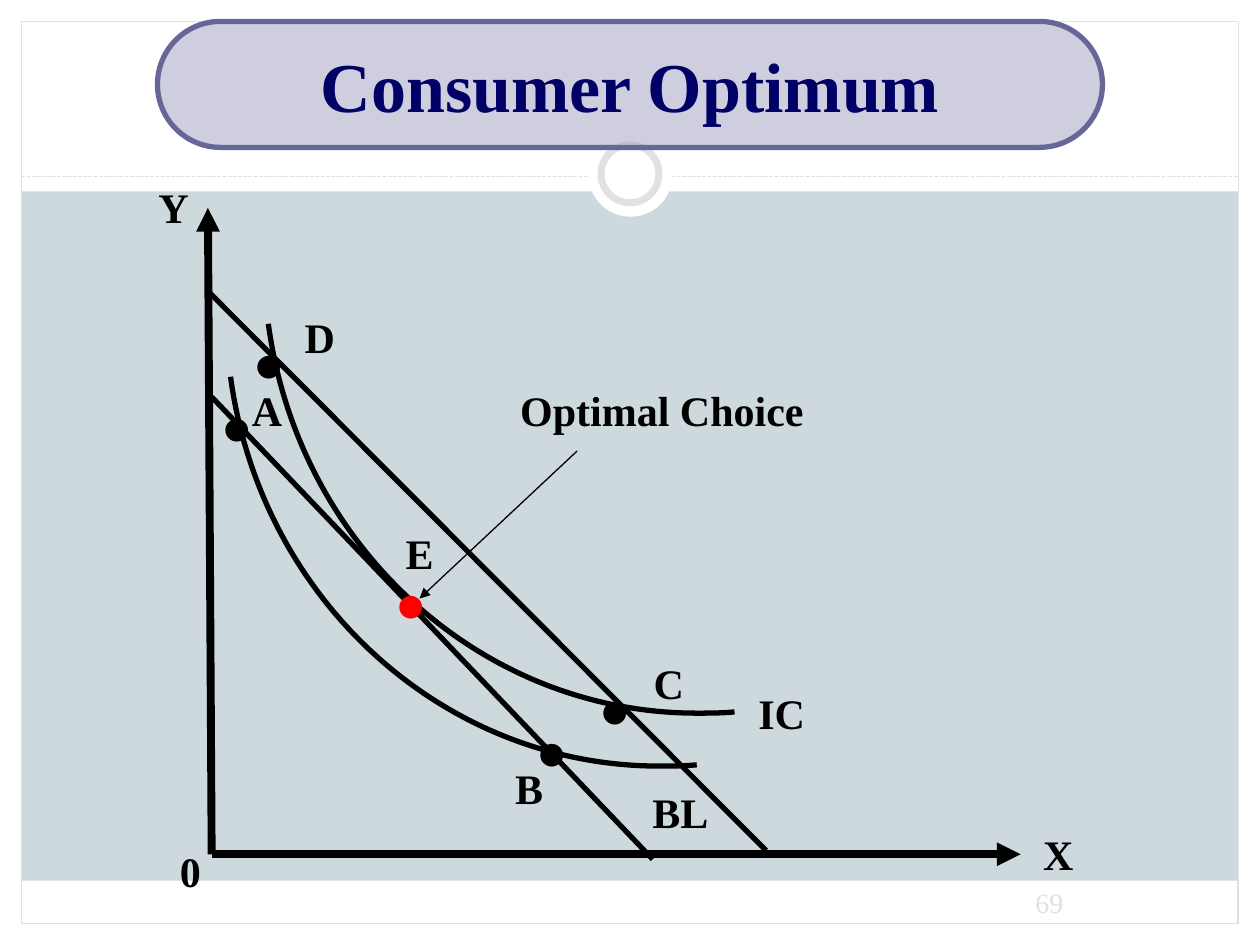
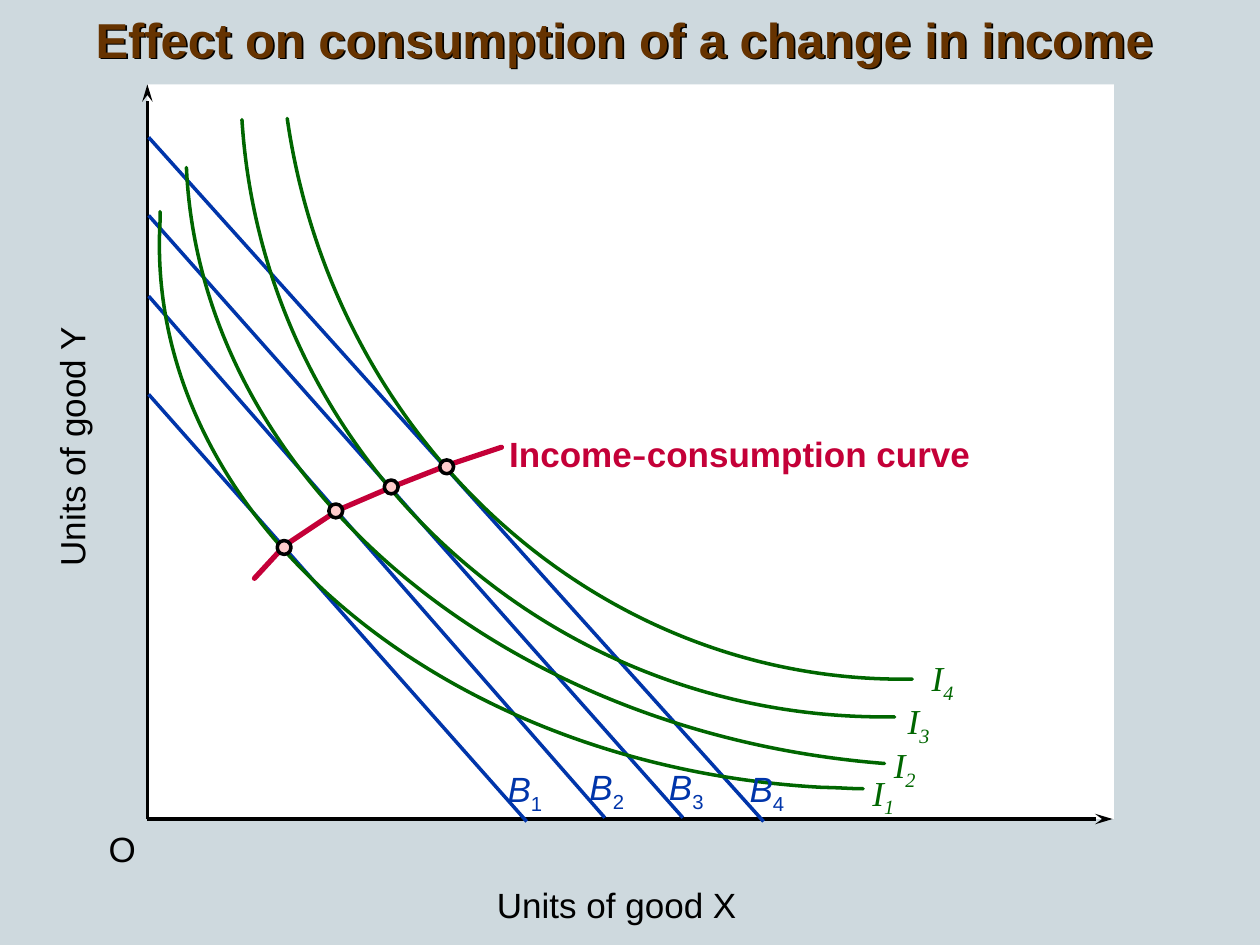
from dataclasses import dataclass, replace

from lxml.etree import SubElement as Sub
from pptx import Presentation
from pptx.dml.color import RGBColor
from pptx.enum.dml import MSO_LINE as Dash
from pptx.enum.shapes import MSO_CONNECTOR as Link, MSO_SHAPE as Form
from pptx.enum.text import MSO_ANCHOR as Anchor, MSO_AUTO_SIZE as Fit, PP_ALIGN as Align
from pptx.oxml.ns import qn
from pptx.shapes.autoshape import Shape
from pptx.slide import Slide
from pptx.util import Inches, Pt

BLACK = RGBColor(0x00, 0x00, 0x00)
WHITE = RGBColor(0xFF, 0xFF, 0xFF)
MIST = RGBColor(0xCE, 0xD9, 0xDE)
GREY = RGBColor(0xE1, 0xE1, 0xE1)
RED = RGBColor(0xFF, 0x00, 0x00)
NAVY = RGBColor(0x00, 0x00, 0x66)
LILAC = RGBColor(0x9F, 0x9F, 0xBF)
PURPLE = RGBColor(0x66, 0x66, 0x99)
BLUE = RGBColor(0x00, 0x35, 0xAA)
GREEN = RGBColor(0x00, 0x66, 0x00)
CRIMSON = RGBColor(0xC4, 0x00, 0x38)
PINK = RGBColor(0xFF, 0xCC, 0xCC)
BROWN = RGBColor(0x66, 0x33, 0x00)
SERIF = "Times New Roman"
SANS = "Arial"

Point = tuple[float, float]


@dataclass(frozen=True)
class Run:
    text: str
    size: float = 24
    font: str = SERIF
    color: RGBColor = BLACK
    bold: bool = False
    slant: bool = False
    base: int = 0


@dataclass(frozen=True)
class Label:
    x: float
    y: float
    w: float
    h: float
    runs: tuple[Run, ...]
    align: Align = Align.LEFT
    turn: float = 0


@dataclass(frozen=True)
class Line:
    start: Point
    end: Point
    width: float
    color: RGBColor = BLACK
    head: str = ""
    reach: str = "med"
    dash: Dash | None = None


@dataclass(frozen=True)
class Solid:
    form: Form
    x: float
    y: float
    w: float
    h: float
    fill: RGBColor | None = WHITE
    line: RGBColor | None = None
    width: float = 0


@dataclass(frozen=True)
class Path:
    """An open outline; a bent one is a chain of cubic arcs sharing end knots."""
    knots: list[Point]
    color: RGBColor
    width: float
    bent: bool = True
    cap: str = "rnd"


def write(shape: Shape, runs: tuple[Run, ...], align: Align) -> None:
    para = shape.text_frame.paragraphs[0]
    para.alignment = align
    for item in runs:
        run = para.add_run()
        run.text = item.text
        font = run.font
        font.size, font.name = Pt(item.size), item.font
        font.bold, font.italic = item.bold, item.slant
        font.color.rgb = item.color
        if item.base:
            run._r.get_or_add_rPr().set("baseline", str(item.base * 1000))


def add_label(slide: Slide, label: Label) -> None:
    box = slide.shapes.add_textbox(*map(Inches, (label.x, label.y, label.w, label.h)))
    box.rotation = label.turn
    box.text_frame.word_wrap = False
    box.text_frame.auto_size = Fit.SHAPE_TO_FIT_TEXT
    write(box, label.runs, label.align)


def add_line(slide: Slide, line: Line) -> None:
    ends = map(Inches, (*line.start, *line.end))
    link = slide.shapes.add_connector(Link.STRAIGHT, *ends)
    link.line.color.rgb = line.color
    link.line.width = Pt(line.width)
    if line.dash:
        link.line.dash_style = line.dash
    props = link._element.spPr
    if line.head:
        Sub(props.find(qn("a:ln")), qn("a:tailEnd"), type=line.head, len=line.reach)
    Sub(props, qn("a:effectLst"))


def add_solid(slide: Slide, item: Solid) -> Shape:
    box = map(Inches, (item.x, item.y, item.w, item.h))
    shape = slide.shapes.add_shape(item.form, *box)
    shape.shadow.inherit = False
    if item.fill is None:
        shape.fill.background()
    else:
        shape.fill.solid()
        shape.fill.fore_color.rgb = item.fill
    if item.line is None:
        shape.line.fill.background()
    else:
        shape.line.color.rgb = item.line
        shape.line.width = Pt(item.width)
    return shape


def add_path(slide: Slide, path: Path) -> None:
    spots = [(Inches(x), Inches(y)) for x, y in path.knots]
    pen = slide.shapes.build_freeform(*spots[0])
    pen.add_line_segments(spots[1:], close=False)
    shape = pen.convert_to_shape()
    shape.shadow.inherit = False
    shape.fill.background()
    shape.line.color.rgb = path.color
    shape.line.width = Pt(path.width)
    props = shape._element.spPr
    props.find(qn("a:ln")).set("cap", path.cap)
    if path.bent:
        trace = next(props.iter(qn("a:path")))
        steps = trace.findall(qn("a:lnTo"))
        for i in range(0, len(steps), 3):
            arc = Sub(trace, qn("a:cubicBezTo"))
            for step in steps[i:i + 3]:
                arc.append(step[0])
                trace.remove(step)


def set_title(slide: Slide, run: Run, box: tuple[float, float, float, float]) -> Shape:
    """Place the title in front of what is drawn so far."""
    title = slide.shapes.title
    title.left, title.top, title.width, title.height = map(Inches, box)
    frame = title.text_frame
    frame.auto_size, frame.vertical_anchor = Fit.NONE, Anchor.MIDDLE
    write(title, (run,), Align.CENTER)
    slide.shapes._spTree.append(title._element)
    return title


FRAME = [
    Solid(Form.RECTANGLE, 0, 7.33, 10, 0.17),
    Solid(Form.RECTANGLE, 0, 0, 10, 1.52),
    Solid(Form.RECTANGLE, 0, 0, 0.17, 7.5),
    Solid(Form.RECTANGLE, 9.83, 0, 0.17, 7.5),
    Solid(Form.RECTANGLE, 0.16, 6.99, 9.66, 0.34),
    Solid(Form.RECTANGLE, 0.17, 0.17, 9.66, 7.16, None, GREY, 0.75),
]
RINGS = [
    Solid(Form.OVAL, 4.67, 1.05, 0.67, 0.67),
    Solid(Form.OVAL, 4.77, 1.15, 0.46, 0.46, WHITE, GREY, 4),
]
PILL = Solid(Form.ROUNDED_RECTANGLE, 1.25, 0.17, 7.5, 1, LILAC, PURPLE, 3)
MARKS = [
    ("Y", 1.16, 1.39, 0.44), ("X", 8.18, 6.53, 0.44), ("0", 1.33, 6.66, 0.36),
    ("Optimal Choice", 4.03, 3, 2.45), ("IC", 5.92, 5.41, 0.57),
    ("BL", 5.08, 6.19, 0.65), ("D", 2.32, 2.42, 0.44), ("A", 1.9, 3, 0.44),
    ("B", 3.99, 6, 0.42), ("E", 3.12, 4.14, 0.42), ("C", 5.09, 5.17, 0.44),
]
DOTS = [(4.17, 5.5, BLACK), (3.05, 4.33, RED), (4.67, 5.17, BLACK),
        (1.92, 2.42, BLACK), (1.67, 2.92, BLACK)]
PLOT = [
    Line((1.68, 6.78), (8.1, 6.78), 4.5, head="triangle"),
    Line((1.68, 6.78), (1.65, 1.65), 4.5, head="triangle"),
    Line((1.68, 3.15), (5.18, 6.82), 3),
    Line((1.67, 2.33), (6.08, 6.75), 3),
    Line((4.58, 3.58), (3.33, 4.75), 0.75, head="triangle"),
]
UPPER = [(5.83, 5.65), (5.73, 5.66), (5.63, 5.66), (5.53, 5.66),
         (3.82, 5.66), (2.37, 4.34), (2.13, 2.57)]
LOWER = [(x - 0.3, y + 0.42) for x, y in UPPER]

BUDGETS = [(3.13, 4.18, 6.52), (2.35, 4.8, 6.49), (1.71, 5.42, 6.49), (1.09, 6.06, 6.52)]
TASTES = [
    [(6.85, 6.26), (6.75, 6.26), (6.64, 6.25), (6.54, 6.25), (3.5, 6.09),
     (1.14, 4.08), (1.27, 1.76), (1.27, 1.73), (1.27, 1.7), (1.27, 1.68)],
    [(7.02, 6.06), (3.97, 5.82), (1.59, 3.79), (1.48, 1.33)],
    [(7.1, 5.69), (7.07, 5.69), (7.05, 5.69), (7.02, 5.69),
     (4.32, 5.69), (2.09, 3.62), (1.92, 0.95)],
    [(7.24, 5.39), (7.22, 5.39), (7.19, 5.39), (7.16, 5.39),
     (4.73, 5.39), (2.65, 3.5), (2.28, 0.94)],
]
FEET = [(3.93, 6.04), (4.58, 6.03), (5.21, 6.03), (5.85, 6.04)]
TAGS = [(6.82, 6.07), (6.99, 5.85), (7.1, 5.5), (7.29, 5.16)]
BEST = [(2.2, 4.29), (2.61, 4), (3.05, 3.81), (3.49, 3.65)]
GROWTH = [(2.02, 4.59), (2.26, 4.33), (2.68, 4.05), (3.1, 3.87), (3.56, 3.69), (3.98, 3.55)]


def draw_choice(slide: Slide) -> None:
    for item in FRAME:
        add_solid(slide, item)
    add_line(slide, Line((0.17, 1.4), (9.83, 1.4), 0.75, GREY, dash=Dash.SQUARE_DOT))
    for item in RINGS:
        add_solid(slide, item)
    add_label(slide, Label(8.12, 6.98, 0.43, 0.35, (Run("69", 16, color=GREY),)))

    pill = add_solid(slide, PILL)
    pill.adjustments[0] = 0.5
    tint = pill._element.spPr.find(qn("a:solidFill"))[0]
    Sub(tint, qn("a:alpha"), val="50000")
    set_title(slide, Run("Consumer Optimum", 40, color=NAVY, bold=True),
              (PILL.x, PILL.y, PILL.w, PILL.h))

    for line in PLOT:
        add_line(slide, line)
    for knots in (UPPER, LOWER):
        add_path(slide, Path(knots, BLACK, 3, cap="flat"))
    for x, y, color in DOTS:
        add_label(slide, Label(x, y, 0.43, 0.9, (Run("•", 48, color=color, bold=True),)))
    for text, x, y, w in MARKS:
        add_label(slide, Label(x, y, w, 0.5, (Run(text, bold=True),)))


def draw_income(slide: Slide) -> None:
    add_solid(slide, Solid(Form.RECTANGLE, 1.17, 0.67, 7.67, 5.83))
    for end in ((1.17, 0.67), (8.83, 6.5)):
        add_line(slide, Line((1.17, 6.5), end, 2, head="stealth", reach="lg"))
    for text, x, y, w, turn in (("Units of good Y", -0.49, 3.33, 2.11, 270),
                                ("O", 0.76, 6.52, 0.42, 0),
                                ("Units of good X", 3.84, 6.96, 2.11, 0)):
        add_label(slide, Label(x, y, w, 0.43, (Run(text, 20, SANS),), Align.CENTER, turn))

    for top, x, y in BUDGETS:
        add_line(slide, Line((1.18, top), (x, y), 2, BLUE))
    for knots in TASTES:
        add_path(slide, Path(knots, GREEN, 2))
    big = Run("B", 20, SANS, BLUE, slant=True)
    wish = Run("I", 20, SERIF, GREEN, slant=True)
    for num, (foot, tag) in enumerate(zip(FEET, TAGS), 1):
        low = replace(big, text=str(num), slant=False, base=-25)
        add_label(slide, Label(*foot, 0.48, 0.48, (big, low)))
        low = replace(wish, text=str(num), base=-25)
        add_label(slide, Label(*tag, 0.38, 0.48, (wish, low), Align.CENTER))

    add_path(slide, Path(GROWTH, CRIMSON, 3, bent=False))
    for x, y in BEST:
        add_solid(slide, Solid(Form.OVAL, x, y, 0.11, 0.11, PINK, BLACK, 2))
    name = Run("Income", 20, SANS, CRIMSON, bold=True)
    hyphen = replace(name, text="-", size=44, bold=False, base=-4)
    rest = replace(name, text="consumption curve")
    add_label(slide, Label(3.94, 3.05, 3.86, 0.83, (name, hyphen, rest), Align.RIGHT))

    title = set_title(slide, Run("Effect on consumption of a change in income",
                                 28, SANS, BROWN, bold=True), (0, 0.02, 9.91, 0.57))
    title.fill.background()
    glow = Sub(title._element.spPr, qn("a:effectLst"))
    shade = Sub(glow, qn("a:outerShdw"), dist="18000", dir="2700000")
    Sub(shade, qn("a:srgbClr"), val=str(BLACK))


def main() -> None:
    deck = Presentation()
    deck.slide_width, deck.slide_height = Inches(10), Inches(7.5)
    back = deck.slide_master.background.fill
    back.solid()
    back.fore_color.rgb = MIST
    for draw in (draw_choice, draw_income):
        draw(deck.slides.add_slide(deck.slide_layouts[5]))
    deck.save("out.pptx")


if __name__ == "__main__":
    main()
